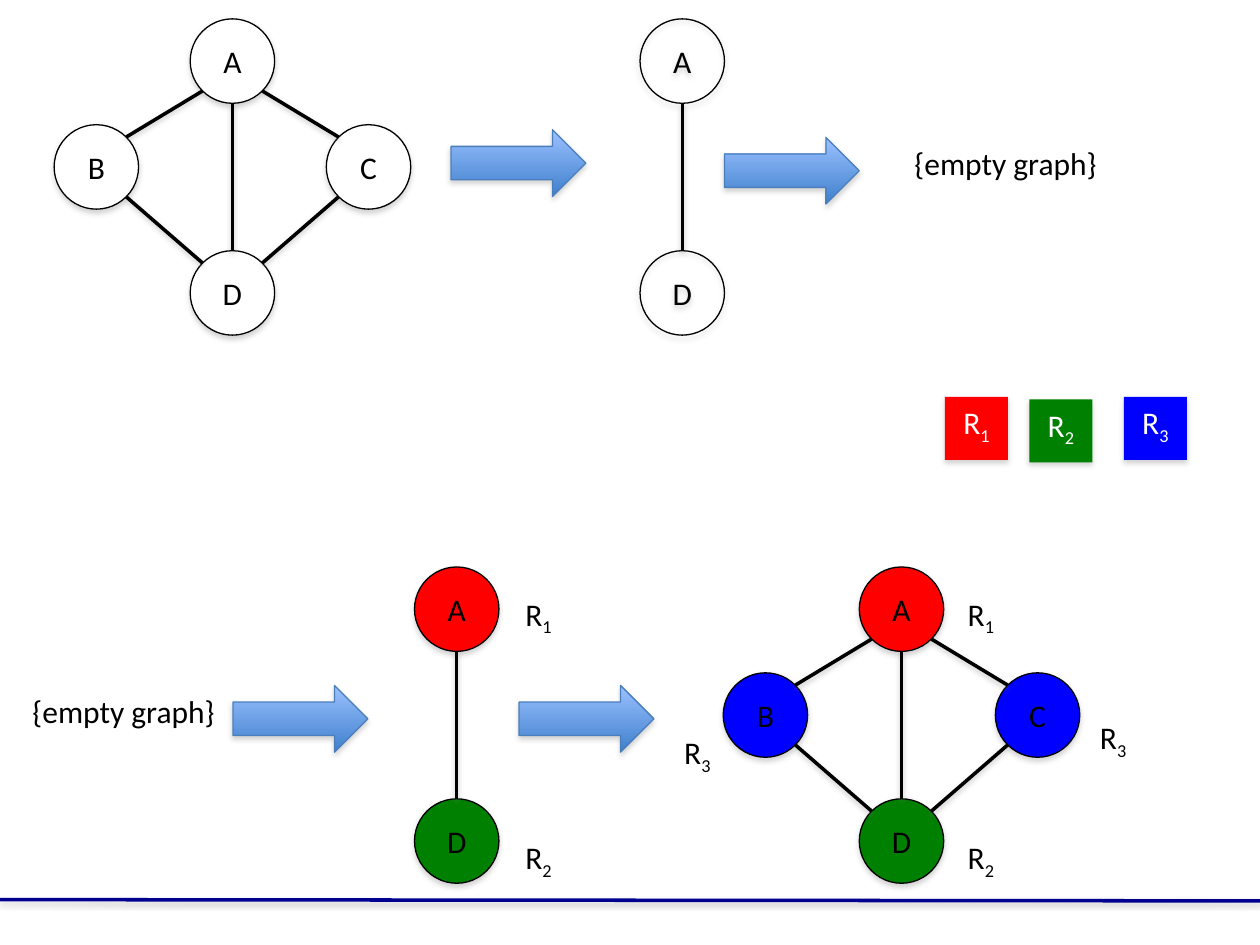
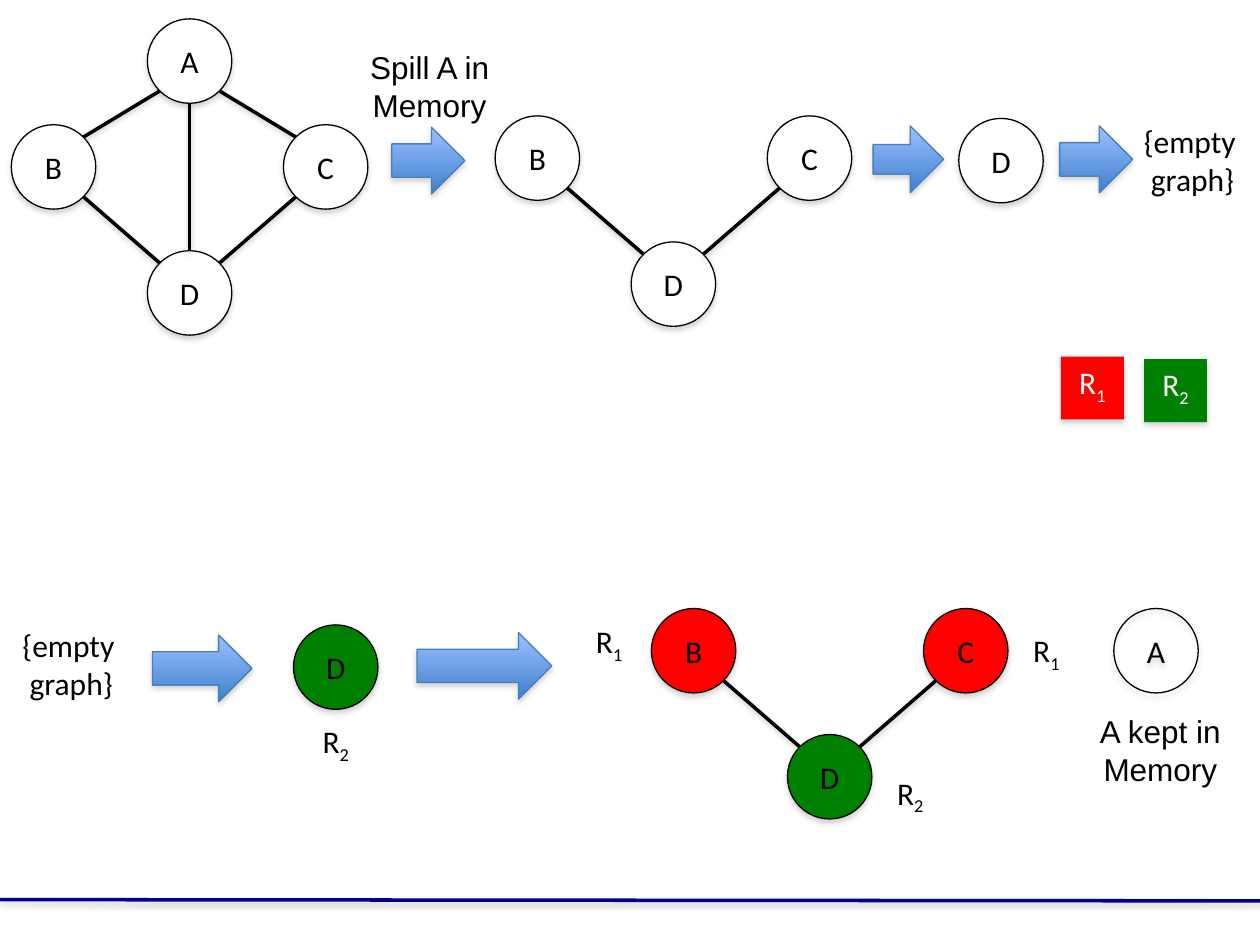
import math
from dataclasses import dataclass, field

import lxml.etree
import pptx
import pptx.dml.color
import pptx.enum.shapes
import pptx.enum.text
import pptx.oxml.ns
import pptx.util

Inches = pptx.util.Inches
Pt = pptx.util.Pt
qn = pptx.oxml.ns.qn
ALIGN = pptx.enum.text.PP_ALIGN
ANCHOR = pptx.enum.text.MSO_ANCHOR
SHAPES = pptx.enum.shapes.MSO_SHAPE

COLORS = {
    "white": "FFFFFF",
    "black": "000000",
    "red": "FF0000",
    "green": "008000",
    "blue": "0000FF",
    "rule": "000090",
    "arrow_top": "9BC1FF",
    "arrow_bottom": "3F80CD",
    "arrow_edge": "4A7EBB",
    "shadow": "808080",
}
REGISTERS = {"R_1": "red", "R_2": "green", "R_3": "blue"}

NODE = 0.67
SQUARE = 0.5
ARROW_HEIGHT = 0.53
NODE_OFFSETS = {"A": (0, -1.84), "B": (-1.08, -1), "C": (1.08, -1), "D": (0, 0)}
EDGES = (("A", "B", 135), ("A", "C", 45), ("B", "D", 45), ("C", "D", 135), ("A", "D", 90))


@dataclass
class Graph:
    d_left: float
    d_top: float
    fills: dict[str, str | None]


@dataclass
class Arrow:
    left: float
    top: float
    width: float = 1.07
    shaft: float = 0.5


@dataclass
class Caption:
    left: float
    top: float
    width: float
    lines: tuple[str, ...]
    align: ALIGN = ALIGN.LEFT
    font: str = "Calibri"


@dataclass
class RegisterBox:
    left: float
    top: float
    register: str


@dataclass
class AllocationSlide:
    graphs: list[Graph]
    arrows: list[Arrow]
    captions: list[Caption]
    registers: list[RegisterBox] = field(default_factory=list)


def register_tag(left: float, top: float, register: str) -> Caption:
    return Caption(left, top, 0.43, (register,), ALIGN.CENTER)


def plain(labels: str) -> dict[str, str | None]:
    return dict.fromkeys(labels, "white")


def rgb(color: str) -> pptx.dml.color.RGBColor:
    return pptx.dml.color.RGBColor.from_string(COLORS[color])


def apply(target, values: dict) -> None:
    for name, value in values.items():
        setattr(target, name, value)


def cast_shadow(part, opacity: int, distance: float) -> None:
    effects = lxml.etree.SubElement(part._element.spPr, qn("a:effectLst"))
    outer = lxml.etree.SubElement(
        effects, qn("a:outerShdw"), blurRad=str(Pt(3.1)), dist=str(Pt(distance)),
        dir="5400000", rotWithShape="0",
    )
    tint = lxml.etree.SubElement(outer, qn("a:srgbClr"), val=COLORS["shadow"])
    lxml.etree.SubElement(tint, qn("a:alpha"), val=str(opacity * 1000))


def write(frame, lines: tuple[str, ...], frame_format: dict, align: ALIGN,
          color: str = "black", font: str = "Calibri") -> None:
    apply(frame, frame_format)
    for index, line in enumerate(lines):
        paragraph = frame.add_paragraph() if index else frame.paragraphs[0]
        paragraph.alignment = align
        for level, piece in enumerate(line.split("_")):
            run = paragraph.add_run()
            run.text = piece
            apply(run.font, {"size": Pt(18), "name": font})
            run.font.color.rgb = rgb(color)
            if level:
                run._r.get_or_add_rPr().set("baseline", "-25000")


def add_solid(slide, kind: SHAPES, left: float, top: float, width: float, height: float,
              fill: str | None, outline: str | None):
    solid = slide.shapes.add_shape(kind, Inches(left), Inches(top), Inches(width), Inches(height))
    if fill:
        solid.fill.solid()
        solid.fill.fore_color.rgb = rgb(fill)
    else:
        solid.fill.background()
    if outline:
        solid.line.color.rgb = rgb(outline)
        solid.line.width = Pt(0.75)
    else:
        solid.line.fill.background()
    cast_shadow(solid, 35, 1.8)
    return solid


def add_line(slide, start: tuple[float, float], end: tuple[float, float], color: str) -> None:
    line = slide.shapes.add_connector(
        pptx.enum.shapes.MSO_CONNECTOR.STRAIGHT, *map(Inches, start + end)
    )
    line.line.color.rgb = rgb(color)
    line.line.width = Pt(2)
    cast_shadow(line, 38, 1.6)


def add_graph(slide, graph: Graph) -> None:
    centers = {}
    for label, fill in graph.fills.items():
        dx, dy = NODE_OFFSETS[label]
        left, top = graph.d_left + dx, graph.d_top + dy
        node = add_solid(slide, SHAPES.OVAL, left, top, NODE, NODE, fill, "black")
        write(node.text_frame, (label,), {"vertical_anchor": ANCHOR.MIDDLE}, ALIGN.CENTER)
        centers[label] = (left + NODE / 2, top + NODE / 2)
    for source, target, degrees in EDGES:
        if source in centers and target in centers:
            dx = NODE / 2 * math.cos(math.radians(degrees))
            dy = NODE / 2 * math.sin(math.radians(degrees))
            (x1, y1), (x2, y2) = centers[source], centers[target]
            add_line(slide, (x1 + dx, y1 + dy), (x2 - dx, y2 - dy), "black")


def add_arrow(slide, arrow: Arrow) -> None:
    step = add_solid(slide, SHAPES.RIGHT_ARROW, arrow.left, arrow.top, arrow.width,
                     ARROW_HEIGHT, "arrow_top", "arrow_edge")
    step.adjustments[0] = arrow.shaft
    step.fill.gradient()
    step.fill.gradient_angle = 270
    for position, (stop, color) in enumerate(
        zip(step.fill.gradient_stops, ("arrow_top", "arrow_bottom"))
    ):
        stop.position = position
        stop.color.rgb = rgb(color)


def add_caption(slide, caption: Caption) -> None:
    height = 0.09 + 0.31 * len(caption.lines)
    box = slide.shapes.add_textbox(
        *map(Inches, (caption.left, caption.top, caption.width, height))
    )
    frame_format = {"word_wrap": False,
                    "auto_size": pptx.enum.text.MSO_AUTO_SIZE.SHAPE_TO_FIT_TEXT}
    write(box.text_frame, caption.lines, frame_format, caption.align, font=caption.font)


def add_register(slide, box: RegisterBox) -> None:
    square = add_solid(slide, SHAPES.RECTANGLE, box.left, box.top, SQUARE, SQUARE,
                       REGISTERS[box.register], None)
    write(square.text_frame, (box.register,), {"vertical_anchor": ANCHOR.TOP},
          ALIGN.CENTER, "white")


def add_allocation_slide(deck, content: AllocationSlide) -> None:
    slide = deck.slides.add_slide(deck.slide_layouts[6])
    add_line(slide, (0, 7.14), (10, 7.15), "rule")
    for parts, draw in (
        (content.graphs, add_graph),
        (content.registers, add_register),
        (content.arrows, add_arrow),
        (content.captions, add_caption),
    ):
        for part in parts:
            draw(slide, part)


EMPTY_GRAPH = ("{empty graph}",)
EMPTY_GRAPH_STACKED = ("{empty", " graph}")

THREE_REGISTERS = AllocationSlide(
    graphs=[
        Graph(1.51, 1.99, plain("ABCD")),
        Graph(5.08, 1.99, {"A": None, "D": None}),
        Graph(3.29, 6.34, {"A": "red", "D": "green"}),
        Graph(6.82, 6.34, {"A": "red", "B": "blue", "C": "blue", "D": "green"}),
    ],
    arrows=[Arrow(3.58, 1.03), Arrow(5.75, 1.09), Arrow(1.85, 5.44), Arrow(4.12, 5.44)],
    captions=[
        Caption(7.16, 1.09, 1.67, EMPTY_GRAPH),
        Caption(0.16, 5.44, 1.67, EMPTY_GRAPH),
        *(register_tag(left, top, register)
          for left in (4.06, 7.57)
          for top, register in ((4.67, "R_1"), (6.6, "R_2"))),
        register_tag(8.62, 5.65, "R_3"),
        register_tag(5.32, 5.77, "R_3"),
    ],
    registers=[
        RegisterBox(7.5, 3.15, "R_1"),
        RegisterBox(8.17, 3.17, "R_2"),
        RegisterBox(8.92, 3.15, "R_3"),
    ],
)

SPILL_TO_MEMORY = AllocationSlide(
    graphs=[
        Graph(1.17, 1.99, plain("ABCD")),
        Graph(5.01, 1.92, plain("BCD")),
        Graph(7.61, 0.94, plain("D")),
        Graph(2.33, 4.96, {"D": "green"}),
        Graph(6.25, 5.83, {"B": "red", "C": "red", "D": "green"}),
        Graph(8.84, 6.67, {"A": None}),
    ],
    arrows=[
        Arrow(3.11, 1.01, 0.58),
        Arrow(6.93, 1, 0.56, 0.44),
        Arrow(8.41, 1, 0.58),
        Arrow(1.21, 5.04, 0.79),
        Arrow(3.31, 5.02),
    ],
    captions=[
        Caption(8.98, 0.92, 1, EMPTY_GRAPH_STACKED),
        Caption(0.08, 4.92, 1, EMPTY_GRAPH_STACKED),
        Caption(2.83, 0.33, 1.16, ("Spill A in", "Memory"), ALIGN.CENTER, "Arial"),
        Caption(8.63, 5.6, 1.16, ("A kept in", "Memory"), ALIGN.CENTER, "Arial"),
        register_tag(4.62, 4.89, "R_1"),
        register_tag(2.45, 5.68, "R_2"),
        register_tag(8.09, 4.96, "R_1"),
        register_tag(7.01, 6.09, "R_2"),
    ],
    registers=[RegisterBox(8.42, 2.83, "R_1"), RegisterBox(9.08, 2.85, "R_2")],
)


def main() -> None:
    deck = pptx.Presentation()
    apply(deck, {"slide_width": Inches(10), "slide_height": Inches(7.5)})
    for content in (THREE_REGISTERS, SPILL_TO_MEMORY):
        add_allocation_slide(deck, content)
    deck.save("out.pptx")


if __name__ == "__main__":
    main()
